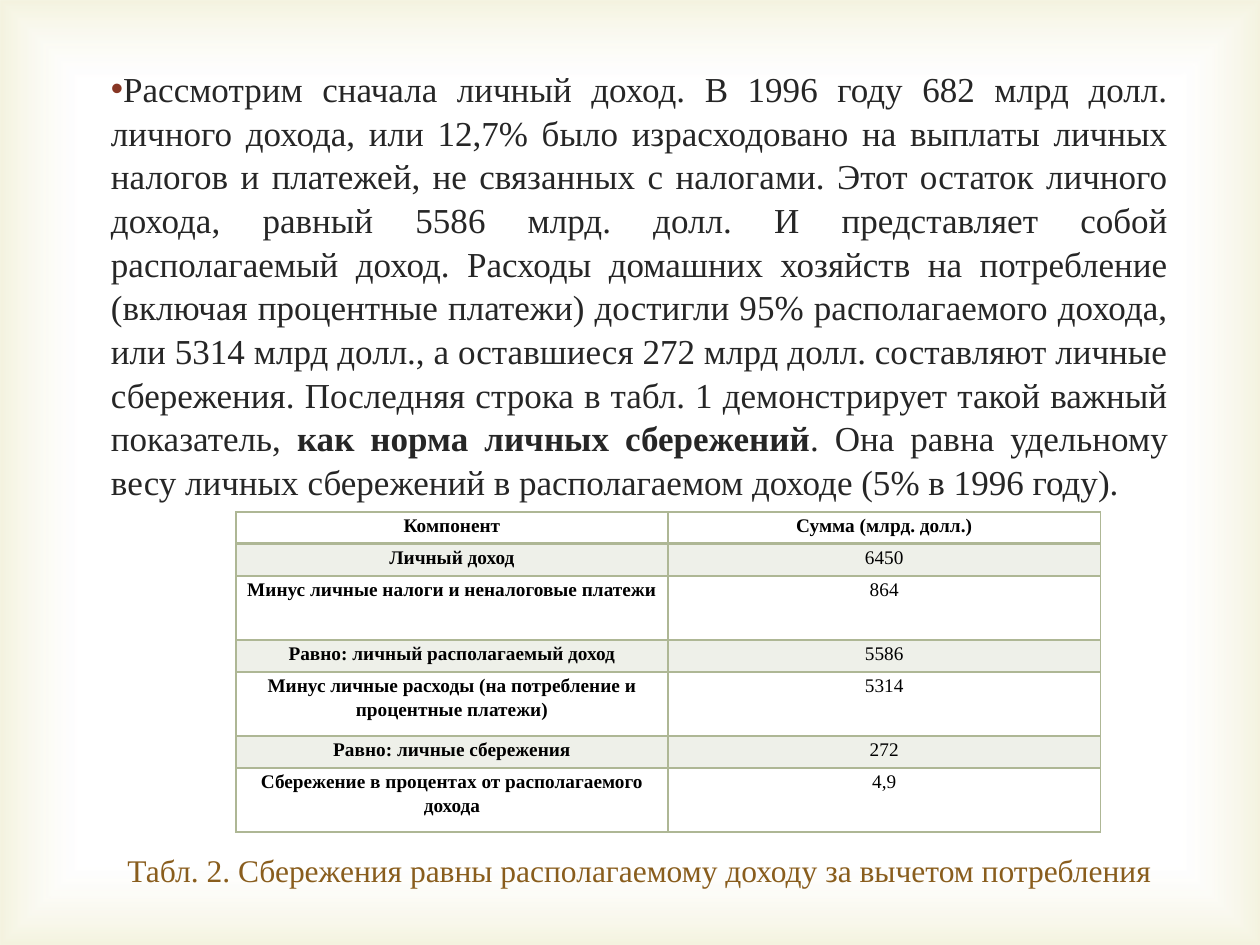
from lxml import etree
from pptx import Presentation
from pptx.dml.color import RGBColor
from pptx.enum import shapes, text
from pptx.oxml import ns
from pptx.util import Pt

COLORS = {
    "paper": "FFFFFF", "glow": "D1CA75", "body": "262626", "bullet": "873624",
    "grid": "AEB795", "cell": "000000", "caption": "895D1D",
}
FONT = "Times New Roman"
SLIDE_W, SLIDE_H = 720, 540
LEFT, TEXT_W = 56.2, 618.5
ROW_UNIT = 18.29

INTRO = (
    "Рассмотрим сначала личный доход. В 1996 году 682 млрд долл. личного дохода, "
    "или 12,7% было израсходовано на выплаты личных налогов и платежей, не связанных "
    "с налогами. Этот остаток личного дохода, равный 5586 млрд. долл. И представляет "
    "собой располагаемый доход. Расходы домашних хозяйств на потребление (включая "
    "процентные платежи) достигли 95% располагаемого дохода, или 5314 млрд долл., "
    "а оставшиеся 272 млрд долл. составляют личные сбережения. Последняя строка "
    "в табл. 1 демонстрирует такой важный показатель, "
)
KEY_TERM = "как норма личных сбережений"
ENDING = (". Она равна удельному весу личных сбережений в располагаемом доходе "
          "(5% в 1996 году).")
CAPTION = "Табл. 2. Сбережения равны располагаемому доходу за вычетом потребления"

# Component, amount, height in row units
INCOME_ROWS = [
    ("Компонент", "Сумма (млрд. долл.)", 1),
    ("Личный доход", "6450", 1),
    ("Минус личные налоги и неналоговые платежи", "864", 2),
    ("Равно: личный располагаемый доход", "5586", 1),
    ("Минус личные расходы (на потребление и процентные платежи)", "5314", 2),
    ("Равно: личные сбережения", "272", 1),
    ("Сбережение в процентах от располагаемого дохода", "4,9", 2),
]


def add_xml(parent, tag, **attributes):
    return etree.SubElement(parent, ns.qn(tag), attributes)


def add_color(parent, color, alpha=100):
    """Append a colour with its opacity in percent."""
    rgb = add_xml(parent, "a:srgbClr", val=COLORS[color])
    if alpha < 100:
        add_xml(rgb, "a:alpha", val=str(alpha * 1000))


def write(paragraph, words, size, color, bold=False, align=None, spacing=None):
    run = paragraph.add_run()
    run.text = words
    run.font.name = FONT
    run.font.size = Pt(size)
    run.font.bold = bold
    run.font.color.rgb = RGBColor.from_string(COLORS[color])
    if align is not None:
        paragraph.alignment = align
    if spacing is not None:
        paragraph.line_spacing = spacing


def add_glow(slide):
    """Soft frame that fades inward from the slide edges."""
    glow = slide.shapes.add_shape(shapes.MSO_SHAPE.RECTANGLE, 0, 0,
                                  Pt(SLIDE_W), Pt(SLIDE_H))
    glow.shadow.inherit = False
    glow.line.fill.background()
    gradient = etree.Element(ns.qn("a:gradFill"), rotWithShape="1")
    stops = add_xml(gradient, "a:gsLst")
    for position, color, alpha in [(83, "paper", 11), (100, "glow", 23)]:
        add_color(add_xml(stops, "a:gs", pos=str(position * 1000)), color, alpha)
    fade = add_xml(gradient, "a:path", path="rect")
    add_xml(fade, "a:fillToRect", l="50000", t="50000", r="50000", b="50000")
    properties = glow.element.spPr
    properties.find(ns.qn("a:prstGeom")).addnext(gradient)
    # Send behind the placeholders
    slide.shapes.element.insert(2, glow.element)


def fill_intro(intro):
    intro.left, intro.top, intro.width, intro.height = (
        Pt(LEFT), Pt(34), Pt(TEXT_W), Pt(253.4))
    frame = intro.text_frame
    frame.auto_size = text.MSO_AUTO_SIZE.NONE
    frame.vertical_anchor = text.MSO_ANCHOR.TOP
    paragraph = frame.paragraphs[0]
    bullet = paragraph._p.get_or_add_pPr()
    bullet.set("marL", "0")
    bullet.set("indent", "0")
    add_color(add_xml(bullet, "a:buClr"), "bullet")
    add_xml(bullet, "a:buFont", typeface="Arial")
    add_xml(bullet, "a:buChar", char="•")
    paragraph.space_before = Pt(0)
    for words, bold in [(INTRO, False), (KEY_TERM, True), (ENDING, False)]:
        write(paragraph, words, 20, "body", bold,
              align=text.PP_ALIGN.JUSTIFY, spacing=1.04)


def format_cell(cell, shaded, bottom_width):
    cell.margin_left = cell.margin_right = Pt(5)
    cell.margin_top = cell.margin_bottom = 0
    cell.vertical_anchor = text.MSO_ANCHOR.TOP
    properties = cell._tc.get_or_add_tcPr()
    for side, width in [("L", 1), ("R", 1), ("T", 1), ("B", bottom_width)]:
        border = add_xml(properties, "a:ln" + side, w=str(Pt(width)))
        add_color(add_xml(border, "a:solidFill"), "grid")
    if shaded:
        add_color(add_xml(properties, "a:solidFill"), "grid", 20)
    else:
        add_xml(properties, "a:noFill")


def add_income_table(slide):
    units = sum(row[2] for row in INCOME_ROWS)
    table = slide.shapes.add_table(len(INCOME_ROWS), 2, Pt(134.8), Pt(292.5),
                                   Pt(494), Pt(units * ROW_UNIT)).table
    table.first_row = table.horz_banding = False
    for i, (component, amount, height) in enumerate(INCOME_ROWS):
        table.rows[i].height = Pt(height * ROW_UNIT)
        for j, words in enumerate((component, amount)):
            cell = table.cell(i, j)
            format_cell(cell, shaded=i % 2 == 1, bottom_width=2 if i == 0 else 1)
            write(cell.text_frame.paragraphs[0], words, 11, "cell",
                  bold=i == 0 or j == 0, align=text.PP_ALIGN.CENTER, spacing=1.15)


def add_caption(slide):
    frame = slide.shapes.add_textbox(Pt(LEFT), Pt(472.5), Pt(TEXT_W), Pt(49)).text_frame
    frame.word_wrap = True
    frame.vertical_anchor = text.MSO_ANCHOR.MIDDLE
    write(frame.paragraphs[0], CAPTION, 18, "caption", align=text.PP_ALIGN.CENTER)


def main():
    deck = Presentation()
    deck.slide_width, deck.slide_height = Pt(SLIDE_W), Pt(SLIDE_H)
    slide = deck.slides.add_slide(deck.slide_layouts[1])
    # The slide has no heading
    heading = slide.shapes.title.element
    heading.getparent().remove(heading)

    add_glow(slide)
    fill_intro(slide.placeholders[1])
    add_income_table(slide)
    add_caption(slide)
    deck.save("out.pptx")


if __name__ == "__main__":
    main()
